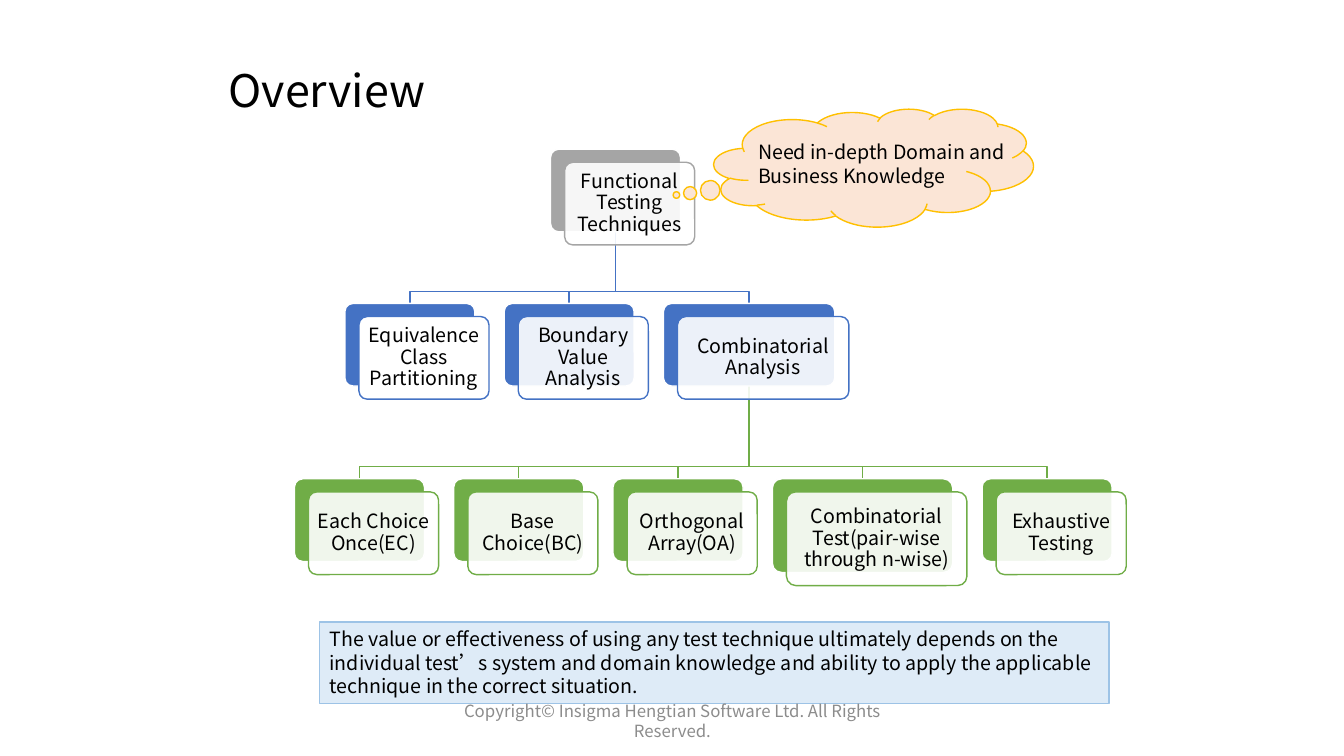
from dataclasses import dataclass

from lxml import etree
from pptx import Presentation
from pptx import util as u
from pptx.dml.color import RGBColor
from pptx.enum import shapes, text
from pptx.oxml.ns import qn


@dataclass(frozen=True)
class Theme:
    """Colours, font and type sizes of the slide."""
    font: str = "Noto Sans CJK SC"
    title_size: int = 32
    body_size: int = 14
    footer_size: int = 12
    ink: str = "000000"
    muted: str = "8C8C8C"
    paper: str = "FFFFFF"
    root: str = "A5A5A5"
    technique: str = "4472C4"
    method: str = "70AD47"
    cloud_fill: str = "FBE5D6"
    cloud_line: str = "FFC000"
    note_fill: str = "DEEBF7"
    note_line: str = "9DC3E6"


@dataclass(frozen=True)
class Node:
    """One card of the tree, placed by its back plate in inches."""
    label: str
    left: float
    top: float
    width: float
    height: float
    color: str
    opacity: int

    @property
    def center(self):
        """Return the horizontal centre of the back plate."""
        return self.left + self.width / 2


THEME = Theme()
CARD_GAP = 0.29
CARD_SHIFT = (0.14, 0.13)
CARD_RADIUS = 0.1
BEND_RISE = 0.12


def write(shape, content, size=THEME.body_size, color=THEME.ink,
          align=text.PP_ALIGN.LEFT, anchor=text.MSO_ANCHOR.TOP,
          spacing=1.0, inset=(0.1, 0.05)):
    """Put one formatted paragraph into a shape."""
    frame = shape.text_frame
    frame.word_wrap = True
    frame.vertical_anchor = anchor
    frame.margin_left = frame.margin_right = u.Inches(inset[0])
    frame.margin_top = frame.margin_bottom = u.Inches(inset[1])
    paragraph = frame.paragraphs[0]
    paragraph.alignment = align
    paragraph.line_spacing = spacing
    run = paragraph.add_run()
    run.text = content
    run.font.name = THEME.font
    run.font.size = u.Pt(size)
    run.font.color.rgb = RGBColor.from_string(color)
    properties = run.font._element
    etree.SubElement(properties, qn("a:ea")).set("typeface", THEME.font)


def add_text(slide, box, content, **style):
    """Add a text box at the given box."""
    write(slide.shapes.add_textbox(*map(u.Inches, box)), content, **style)


def add_block(slide, preset, box, fill, line, opacity=100):
    """Add a filled and outlined preset shape."""
    block = slide.shapes.add_shape(preset, *map(u.Inches, box))
    block.shadow.inherit = False
    block.fill.solid()
    block.fill.fore_color.rgb = RGBColor.from_string(fill)
    block.line.color.rgb = RGBColor.from_string(line)
    block.line.width = u.Pt(1)
    if opacity < 100:
        color = block.fill._xPr.find(qn("a:solidFill"))[0]
        etree.SubElement(color, qn("a:alpha")).set("val", str(opacity * 1000))
    return block


def layout_row(left, top, color, cards):
    """Place cards side by side with equal gaps."""
    row = []
    for label, width, height, opacity in cards:
        row.append(Node(label, left, top, width, height, color, opacity))
        left += width + CARD_GAP
    return row


def draw_branch(slide, parent, child):
    """Draw the bent line from a parent card to a child card."""
    start = parent.top + parent.height
    bend = child.top - BEND_RISE
    points = [(parent.center, start), (parent.center, bend),
              (child.center, bend), (child.center, child.top)]
    corners = [(u.Inches(x), u.Inches(y)) for x, y in points]
    builder = slide.shapes.build_freeform(*corners[0])
    builder.add_line_segments(corners[1:], close=False)
    branch = builder.convert_to_shape()
    branch.shadow.inherit = False
    branch.fill.background()
    branch.line.color.rgb = RGBColor.from_string(child.color)
    branch.line.width = u.Pt(1)


def draw_card(slide, node):
    """Draw a coloured back plate and the labelled card before it."""
    rounded = shapes.MSO_SHAPE.ROUNDED_RECTANGLE
    size = (node.width, node.height)
    plate = add_block(slide, rounded, (node.left, node.top, *size),
                      node.color, THEME.paper)
    dx, dy = CARD_SHIFT
    card = add_block(slide, rounded, (node.left + dx, node.top + dy, *size),
                     THEME.paper, node.color, node.opacity)
    plate.adjustments[0] = card.adjustments[0] = CARD_RADIUS
    write(card, node.label, align=text.PP_ALIGN.CENTER,
          anchor=text.MSO_ANCHOR.MIDDLE, spacing=0.9, inset=(0.06, 0.06))


def draw_tree(slide, box):
    """Draw the three levels of testing techniques inside the box."""
    left, top = box[:2]
    [root] = layout_row(left + 2.54, top, THEME.root, [
        ("Functional Testing Techniques", 1.29, 0.82, 90)])
    techniques = layout_row(left + 0.5, top + 1.53, THEME.technique, [
        ("Equivalence Class Partitioning", 1.29, 0.82, 100),
        ("Boundary Value Analysis", 1.29, 0.82, 90),
        ("Combinatorial Analysis", 1.7, 0.82, 90)])
    methods = layout_row(left, top + 3.27, THEME.method, [
        ("Each Choice Once(EC)", 1.29, 0.82, 90),
        ("Base Choice(BC)", 1.29, 0.82, 90),
        ("Orthogonal Array(OA)", 1.29, 0.82, 90),
        ("Combinatorial Test(pair-wise through n-wise)", 1.79, 0.93, 90),
        ("Exhaustive Testing", 1.29, 0.82, 90)])
    for parent, children in ((techniques[-1], methods), (root, techniques)):
        for child in reversed(children):
            draw_branch(slide, parent, child)
    for node in [root, *techniques, *methods]:
        draw_card(slide, node)


def draw_cloud(slide, box):
    """Draw the thought cloud with its remark."""
    left, top, width, height = box
    cloud = add_block(slide, shapes.MSO_SHAPE.CLOUD_CALLOUT, box,
                      THEME.cloud_fill, THEME.cloud_line)
    cloud.adjustments[0] = -0.617
    cloud.adjustments[1] = 0.231
    add_text(slide, (left + 0.34, top + 0.26, width - 0.34, height - 0.6),
             "Need in-depth Domain and Business Knowledge")


def draw_note(slide, box):
    """Draw the tinted conclusion box."""
    note = add_block(slide, shapes.MSO_SHAPE.RECTANGLE, box,
                     THEME.note_fill, THEME.note_line)
    write(note, "The value or effectiveness of using any test technique "
                "ultimately depends on the individual test’s system and "
                "domain knowledge and ability to apply the applicable "
                "technique in the correct situation.")


def draw_title(slide, box):
    """Write the slide title."""
    add_text(slide, box, "Overview", size=THEME.title_size, spacing=0.9,
             anchor=text.MSO_ANCHOR.MIDDLE)


def draw_footer(slide, box):
    """Write the copyright line."""
    add_text(slide, box,
             "Copyright© Insigma Hengtian Software Ltd. All Rights Reserved.",
             size=THEME.footer_size, color=THEME.muted,
             align=text.PP_ALIGN.CENTER, anchor=text.MSO_ANCHOR.MIDDLE)


def main():
    """Build and save the slide."""
    deck = Presentation()
    deck.slide_width, deck.slide_height = u.Inches(13.33), u.Inches(7.5)
    slide = deck.slides.add_slide(deck.slide_layouts[6])
    draw_tree(slide, (2.92, 1.48, 8.24, 4.33))
    draw_cloud(slide, (7.08, 1.08, 3.17, 1.17))
    draw_note(slide, (3.17, 6.17, 7.83, 0.81))
    draw_title(slide, (2.17, 0.3, 9, 1.25))
    draw_footer(slide, (4.42, 6.95, 4.5, 0.4))
    deck.save("out.pptx")


if __name__ == "__main__":
    main()
